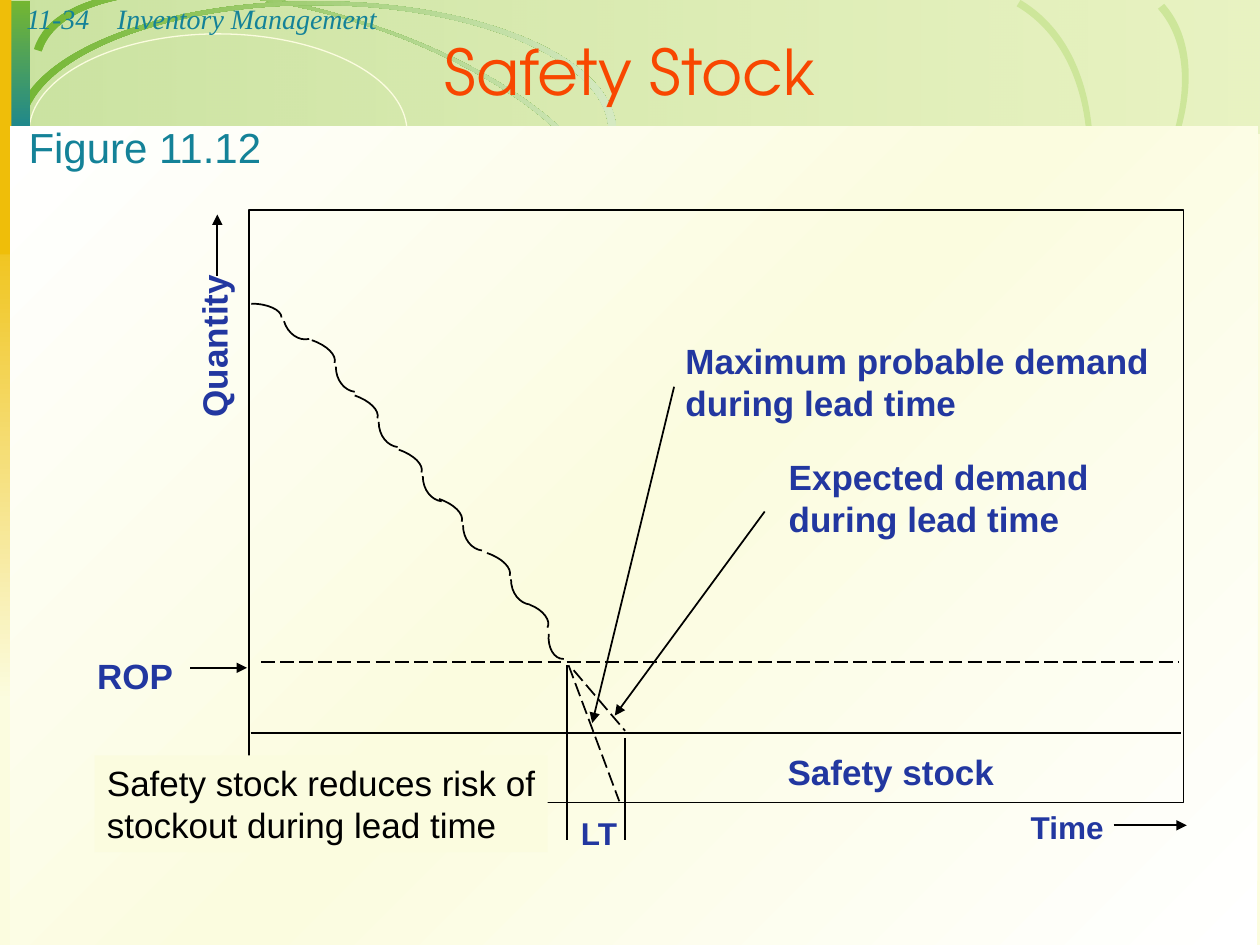
from lxml import etree
from pptx import Presentation
from pptx.dml.color import RGBColor
from pptx.enum import dml, shapes, text
from pptx.oxml import ns
from pptx.util import Pt

HEX = dict(green="74B632", lime="BCDD7B", pale="D5E9C1", leaf="CDE69A", teal="148298",
           olive="CEDE73", gold="EFBE09", cream="FBFCDF", white="FFFFFF", red="F84700",
           navy="2237A0", black="000000")
SERIF, SANS, TITLE = "Times New Roman", "Arial", "TeX Gyre Adventor"

# Each wave is a crest and a trough, as cubic control points from the wave's start.
FIRST = ([(0, 0), (9.4, 0), (17.3, 3.6), (17.3, 7.9)],
         [(33.1, 20.2), (27.4, 21.6), (20.9, 17.3), (18.7, 10.1)])
MID = ([(0, 0), (8.6, 2.9), (14.4, 8.6), (13, 13)],
       [(24.5, 29.5), (18.7, 28.8), (13.7, 23), (13.7, 15.1)])
LAST = ([(0, 0), (7.9, 2.9), (12.2, 9.4), (10.1, 13)],
        [(19.4, 31), (13.7, 31), (10.1, 24.5), (10.8, 16.6)])
WAVES = [(1.4, 53.3, FIRST), (36, 74.2, MID), (60.5, 105.8, MID), (85.7, 136.8, MID),
         (108.7, 164.9, MID), (136.1, 195.8, MID), (160.6, 225.4, LAST)]

# Each ribbon is an outer and an inner chain of cubic control points.
SWEEP = ([(23.8, 29.5), (35.3, -7.2), (115.9, -14.4), (204.5, 13), (292.3, 41),
          (354.2, 92.9), (342.7, 129.6)],
         [(347, 131), (359.3, 93.6), (295.2, 39.6), (204.5, 11.5), (114.5, -17.3),
          (31, -10.1), (19.4, 28.1)])
ARCH = ([(13.7, 74.9), (13.7, 35.3), (88.6, 2.9), (180.7, 2.9), (272.9, 2.9),
         (347.8, 35.3), (347.8, 74.9)],
        [(352.1, 74.9), (352.1, 33.8), (275.8, 0.7), (180.7, 0.7), (85.7, 0.7),
         (8.6, 33.8), (8.6, 74.9)])
OUTER = ([(412.6, 228.2), (445.7, 265), (528.5, 245.5), (597.6, 184.3), (666, 122.4),
          (694.8, 42.5), (661.7, 5)],
         [(665.3, 2.2), (699.1, 40.3), (669.6, 123.1), (599, 186.5), (528.5, 249.1),
          (443.5, 269.3), (409, 231.1)])
INNER = ([(410.4, 290.9), (461.5, 321.1), (540.7, 281.5), (588.2, 202.3), (635, 123.1),
          (632.2, 33.8), (581, 3.6)],
         [(583.2, 0), (635.8, 31), (638.6, 122.4), (590.4, 203.8), (542.2, 285.1),
          (460.1, 326.2), (408.2, 295.2)])


def color(name):
    return RGBColor.from_string(HEX[name])


def paint(shape, fill=None, line=None, width=1):
    shape.shadow.inherit = False
    if fill:
        shape.fill.solid()
        shape.fill.fore_color.rgb = color(fill)
    else:
        shape.fill.background()
    if line:
        shape.line.color.rgb = color(line)
        shape.line.width = Pt(width)
    else:
        shape.line.fill.background()


def blend(shape, names, angle=0, alphas=(100, 100, 100)):
    """Fill with evenly spaced colours, turning clockwise by angle."""
    shape.fill.gradient()
    shape.fill.gradient_angle = (360 - angle) % 360
    bag = shape._element.spPr.find(".//" + ns.qn("a:gsLst"))
    for old in list(bag):
        bag.remove(old)
    for i, (name, alpha) in enumerate(zip(names, alphas)):
        pos = 100000 * i // (len(names) - 1)
        stop = etree.SubElement(bag, ns.qn("a:gs"), pos=str(pos))
        tint = etree.SubElement(stop, ns.qn("a:srgbClr"), val=HEX[name])
        if alpha < 100:
            etree.SubElement(tint, ns.qn("a:alpha"), val=str(alpha * 1000))


def block(slide, x, y, w, h, fill=None, line=None, width=1, kind="RECTANGLE"):
    shape = slide.shapes.add_shape(shapes.MSO_SHAPE[kind], Pt(x), Pt(y), Pt(w), Pt(h))
    paint(shape, fill, line, width)
    return shape


def curve(slide, x, y, chains, close=False):
    """Join chains of cubic control points with straight lines."""
    spots = [(Pt(x + px), Pt(y + py)) for chain in chains for px, py in chain]
    pen = slide.shapes.build_freeform(*spots[0], scale=1.0)
    pen.add_line_segments(spots[1:], close=close)
    shape = pen.convert_to_shape()
    legs = shape._element.findall(".//" + ns.qn("a:lnTo"))
    first = 0
    for chain in chains:
        for i in range(first, first + len(chain) - 1, 3):
            bend = etree.Element(ns.qn("a:cubicBezTo"))
            legs[i].addprevious(bend)
            for leg in legs[i:i + 3]:
                bend.append(leg[0])
                leg.getparent().remove(leg)
        first += len(chain)
    return shape


def rule(slide, x, y, ends, dash=False, arrow=False):
    x1, y1, x2, y2 = ends
    line = slide.shapes.add_connector(shapes.MSO_CONNECTOR.STRAIGHT, Pt(x + x1), Pt(y + y1),
                                      Pt(x + x2), Pt(y + y2))
    line.line.color.rgb = color("black")
    line.line.width = Pt(1)
    if dash:
        line.line.dash_style = dml.MSO_LINE.LONG_DASH
    if arrow:
        etree.SubElement(line.line._get_or_add_ln(), ns.qn("a:tailEnd"), type="triangle")
    etree.SubElement(line._element.spPr, ns.qn("a:effectLst"))


def write(frame, lines, size, font, tone, bold=False, italic=False,
          align=text.PP_ALIGN.LEFT):
    for i, words in enumerate(lines):
        para = frame.add_paragraph() if i else frame.paragraphs[0]
        para.alignment = align
        run = para.add_run()
        run.text = words
        run.font.size, run.font.name = Pt(size), font
        run.font.bold, run.font.italic = bold, italic
        run.font.color.rgb = color(tone)


def label(slide, x, y, w, h, lines, size, font=SANS, tone="navy", bold=True,
          italic=False, wrap=False):
    box = slide.shapes.add_textbox(Pt(x), Pt(y), Pt(w), Pt(h))
    box.text_frame.word_wrap = wrap
    write(box.text_frame, lines, size, font, tone, bold, italic)
    return box


def banner(slide, x, y, w, h):
    blend(block(slide, x + 0.7, y, w, h), ("green", "lime"), alphas=(36, 29))
    blend(curve(slide, x, y, SWEEP, True), ("green", "pale"))
    block(slide, x + 16.6, y + 19.4, 216, 112.3, line="cream", width=0.75, kind="OVAL")
    blend(block(slide, x, y + 111.6, 15.8, 288.7), ("gold", "cream"), 90)
    for ring in (OUTER, INNER):
        paint(curve(slide, x, y, ring, True), "leaf")
    blend(curve(slide, x, y, ARCH, True), ("green", "pale"))
    blend(block(slide, x + 0.7, y + 0.7, 16.6, 82), ("green", "teal"), 90)
    for shape in slide.shapes:
        if shape.shape_type == shapes.MSO_SHAPE_TYPE.FREEFORM:
            shape.line.fill.background()
            shape.shadow.inherit = False


def page(slide, x, y, w, h):
    """Draw the banner, the strips along its edges and the panel under it."""
    banner(slide, x, y, w, 76.3)
    block(slide, x, y, 6.5, 145.4, "gold")
    tones = ("teal", "olive", "gold", "red", "cream")
    for i, pair in enumerate(zip(tones, tones[1:])):
        wide = 262.8 if i == 3 else 132.5
        blend(block(slide, x + 5.8 + 131.3 * i, y + 76.3, wide, 5.8), pair)
    blend(block(slide, x + 5.8, y + 72.2, w - 7.2, h - 72.2), ("white", "cream", "white"), 45)


def head(slide, x, y, w, h):
    for left, wide, words in ((8, 80, "11-34"), (59.8, 612, "Inventory Management")):
        label(slide, x + left, y - 2.9, wide, 26.6, [words], 16, SERIF, "teal", False, True,
              True)
    title = slide.shapes.title
    title._element.getparent().append(title._element)
    title.left, title.top, title.width, title.height = Pt(x), Pt(y + 21.6), Pt(w), Pt(h)
    title.text_frame.vertical_anchor = text.MSO_ANCHOR.BOTTOM
    title.text_frame.auto_size = text.MSO_AUTO_SIZE.NONE
    write(title.text_frame, ["Safety Stock"], 36, TITLE, "red",
          align=text.PP_ALIGN.CENTER)


def graph(slide, x, y, w, h):
    block(slide, x, y, w, h, line="black")
    for dx, dy, wave in WAVES:
        for arc in wave:
            paint(curve(slide, x + dx, y + dy, [arc]), line="black")
    for ends in ((1, 298.8, w - 1.4, 298.8), (182, 259.9, 182, 360),
                 (215, 301.7, 215, 360)):
        rule(slide, x, y, ends)
    for ends in ((7, 258.2, w - 2.6, 258.2), (182.7, 259.9, 211.7, 337.7),
                 (185.6, 262.8, 215, 297.4)):
        rule(slide, x, y, ends, dash=True)
    for ends in ((243, 100.8, 196.2, 293), (294.8, 172.1, 209.1, 288.7),
                 (-33.5, 261.4, -1, 261.4), (494.2, 351.4, 536, 351.4),
                 (-18, 37.4, -18, 2.4)):
        rule(slide, x, y, ends, arrow=True)
    during = "during lead time"
    for dx, dy, wide, high, size, lines in (
            (182.7, 341.3, 36, 28.8, 18, ["LT"]),
            (439.7, 338, 56, 28.8, 18, ["Time"]),
            (301.4, 136.5, 185.8, 54.7, 20, ["Expected demand", during]),
            (242.4, 70.2, 279.4, 54.7, 20, ["Maximum probable demand", during]),
            (-93.8, 250.2, 57.6, 31, 20, ["ROP"]),
            (300.8, 305.3, 132.5, 31, 20, ["Safety stock"])):
        label(slide, x + dx, y + dy, wide, high, lines, size)
    label(slide, x - 68.1, y + 61.9, 95.8, 31, ["Quantity"], 20).rotation = 270


def note(slide, x, y, w, h):
    box = block(slide, x, y, w, h, "cream")
    box.text_frame.word_wrap = False
    write(box.text_frame, ["Safety stock reduces risk of", "stockout during lead time"],
          20, SANS, "black")


def main():
    deck = Presentation()
    deck.slide_width, deck.slide_height = Pt(720), Pt(540)
    slide = deck.slides.add_slide(deck.slide_layouts[5])
    slide.background.fill.solid()
    slide.background.fill.fore_color.rgb = color("cream")
    page(slide, 0, 0, 720, 540)
    head(slide, 0, 0, 720, 43.9)
    graph(slide, 142.2, 120.2, 534.2, 338.5)
    label(slide, 9.2, 66.2, 156, 36, ["Figure 11.12"], 24, tone="teal", bold=False, wrap=True)
    note(slide, 54, 431.6, 259, 55.4)
    deck.save("out.pptx")


if __name__ == "__main__":
    main()
